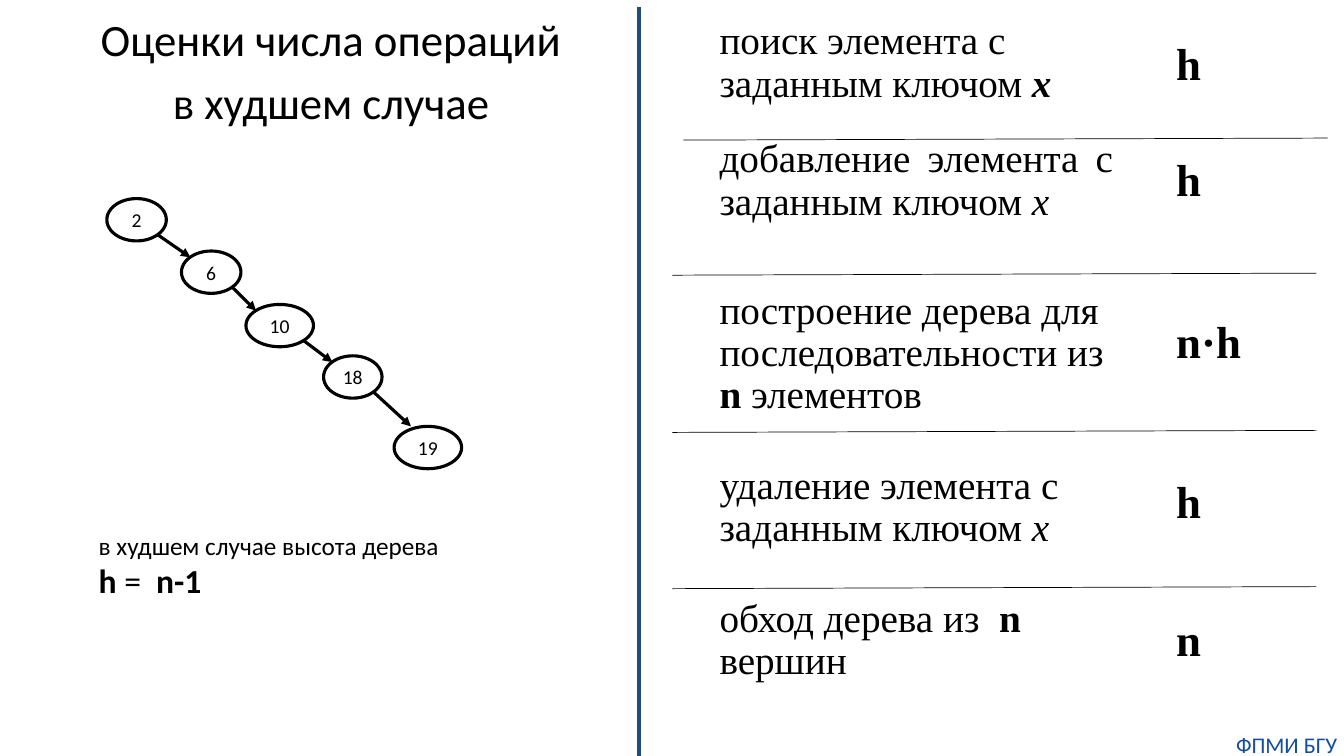
import pptx
import pptx.util
import pptx.dml.color
import pptx.enum.shapes
import pptx.enum.text
import pptx.oxml
import pptx.oxml.ns

GRID = pptx.util.Inches(0.1)
SLIDE_COLUMNS, SLIDE_ROWS = 133.33, 75
BLACK, NAVY, BLUE = "000000", "1F4E79", "144E9D"
SANS, SERIF = "Calibri", "Times New Roman"
ALIGN = pptx.enum.text.PP_ALIGN
ANCHOR = pptx.enum.text.MSO_ANCHOR


def colour(code):
    return pptx.dml.color.RGBColor.from_string(code)


def cells(count):
    return round(count * GRID)


def place(box, left, top, width, height):
    return [cells(length) for length in (box[0] + left, box[1] + top, width, height)]


def format_span(span, size, font, code=BLACK, style=""):
    span.font.size = pptx.util.Pt(size)
    span.font.name = font
    span.font.color.rgb = colour(code)
    span.font.bold = "b" in style
    span.font.italic = "i" in style


def fill_para(para, spans, size, font, code=BLACK, align=ALIGN.LEFT):
    para.alignment = align
    for text, style in spans:
        span = para.add_run()
        span.text = text
        format_span(span, size, font, code, style)


def add_text(page, frame, paras, font, code=BLACK, align=ALIGN.LEFT,
             anchor=ANCHOR.TOP, spacing=1.0, before=0, wrap=True):
    box = page.shapes.add_textbox(*frame)
    text_frame = box.text_frame
    text_frame.word_wrap = wrap
    text_frame.vertical_anchor = anchor
    for index, (size, spans) in enumerate(paras):
        para = text_frame.add_paragraph() if index else text_frame.paragraphs[0]
        para.line_spacing = spacing
        para.space_before = pptx.util.Pt(before)
        fill_para(para, spans, size, font, code, align)
    return box


def add_line(page, start, end, width, code=BLACK, arrow=False):
    line = page.shapes.add_connector(
        pptx.enum.shapes.MSO_CONNECTOR.STRAIGHT, *map(cells, start + end))
    line.line.color.rgb = colour(code)
    line.line.width = pptx.util.Pt(width)
    properties = line._element.spPr
    if arrow:
        head = pptx.oxml.ns.qn("a:tailEnd")
        line.line._get_or_add_ln().makeelement(head)
        pptx.oxml.ns.qn("a:ln")
        tail = properties.find(pptx.oxml.ns.qn("a:ln"))
        tail.append(tail.makeelement(head, {"type": "triangle"}))
    properties.append(properties.makeelement(pptx.oxml.ns.qn("a:effectLst"), {}))


def add_node(page, frame, label):
    node = page.shapes.add_shape(pptx.enum.shapes.MSO_SHAPE.OVAL, *frame)
    node.shadow.inherit = False
    node.fill.background()
    node.line.color.rgb = colour(BLACK)
    node.line.width = pptx.util.Pt(2.25)
    text_frame = node.text_frame
    text_frame.margin_left = text_frame.margin_right = 0
    text_frame.margin_top = text_frame.margin_bottom = 0
    text_frame.vertical_anchor = ANCHOR.MIDDLE
    text_frame.word_wrap = False
    fill_para(text_frame.paragraphs[0], [(label, "")], 14, SANS, align=ALIGN.CENTER)


def draw_tree(page, box):
    height = 4.2
    nodes = [("2", 0, 0, 5.9, None), ("6", 7.4, 5.2, 5.9, (0.15, 0.15)),
             ("10", 13.8, 10.5, 6.7, (0.15, 0.15)),
             ("18", 21.5, 15.6, 5.8, (0.15, 0.15)),
             ("19", 28.5, 22.6, 6.7, (0.25, 0))]
    for label, left, top, width, tip in nodes:
        add_node(page, place(box, left, top, width, height), label)
        if tip:
            end = (box[0] + left + tip[0] * width, box[1] + top + tip[1] * height)
            add_line(page, start, end, 2.25, arrow=True)
        start = (box[0] + left + 0.85 * width, box[1] + top + 0.85 * height)


def draw_worst_case(page, box):
    add_text(page, place(box, 2.4, 0.7, 60.9, 12.6),
             [(32, [("Оценки числа операций", "")]), (32, [("в худшем случае", "")])],
             SANS, align=ALIGN.CENTER, anchor=ANCHOR.BOTTOM, spacing=0.9, before=10)
    draw_tree(page, (box[0] + 10.6, box[1] + 19.7))
    add_text(page, place(box, 8.8, 52.1, 39.8, 8.1),
             [(18, [("в худшем случае высота дерева", "")]),
              (24, [("h ", "b"), ("=  ", ""), ("n-1", "b")])], SANS)


def draw_estimates(page, box):
    operations = [
        (1.6, 3.1, "h", ALIGN.LEFT,
         [("поиск элемента с заданным ключом ", ""), ("x", "bi")]),
        (13.3, 14.6, "h", ALIGN.JUSTIFY,
         [("добавление элемента с заданным ключом ", ""), ("х", "i")]),
        (28.3, 30.6, "n·h", ALIGN.LEFT,
         [("построение дерева для последовательности из ", ""),
          ("n ", "b"), ("элементов", "")]),
        (45.7, 46.5, "h", ALIGN.LEFT,
         [("удаление элемента с заданным ключом ", ""), ("x", "i")]),
        (58.9, 60.2, "n", ALIGN.LEFT,
         [("обход дерева из  ", ""), ("n ", "b"), ("вершин", "")])]
    for top, estimate_top, estimate, align, spans in operations:
        add_text(page, place(box, 7, top, 41, 9.5), [(28, spans)], SERIF,
                 align=align, spacing=0.9)
        add_text(page, place(box, 52.3, estimate_top, 8.5, 6.4),
                 [(32, [(estimate, "b")])], SERIF, wrap=False)
    for left, top in [(4.4, 13.9), (3.3, 27.3), (3.3, 42.9), (3.3, 58.4)]:
        start = (box[0] + left, box[1] + top)
        add_line(page, start, (start[0] + 63.9, start[1] - 0.2), 0.5)


def draw_frame(page, box):
    add_line(page, (box[0] + 63.4, box[1] + 0.7), (box[0] + 63.4, box[1] + 75),
             2.25, NAVY)
    footer = add_text(page, place(box, 122, 72.5, 11.3, 2.7),
                      [(16, [("ФПМИ БГУ", "")])], SANS, BLUE, ALIGN.CENTER)
    footer.text_frame.margin_left = footer.text_frame.margin_right = 0
    footer.text_frame.margin_top = footer.text_frame.margin_bottom = 0


deck = pptx.Presentation()
deck.slide_width = cells(SLIDE_COLUMNS)
deck.slide_height = cells(SLIDE_ROWS)
page = deck.slides.add_slide(deck.slide_layouts[6])
draw_worst_case(page, (0, 0))
draw_estimates(page, (63.4, 0))
draw_frame(page, (0, 0))
deck.save("out.pptx")
